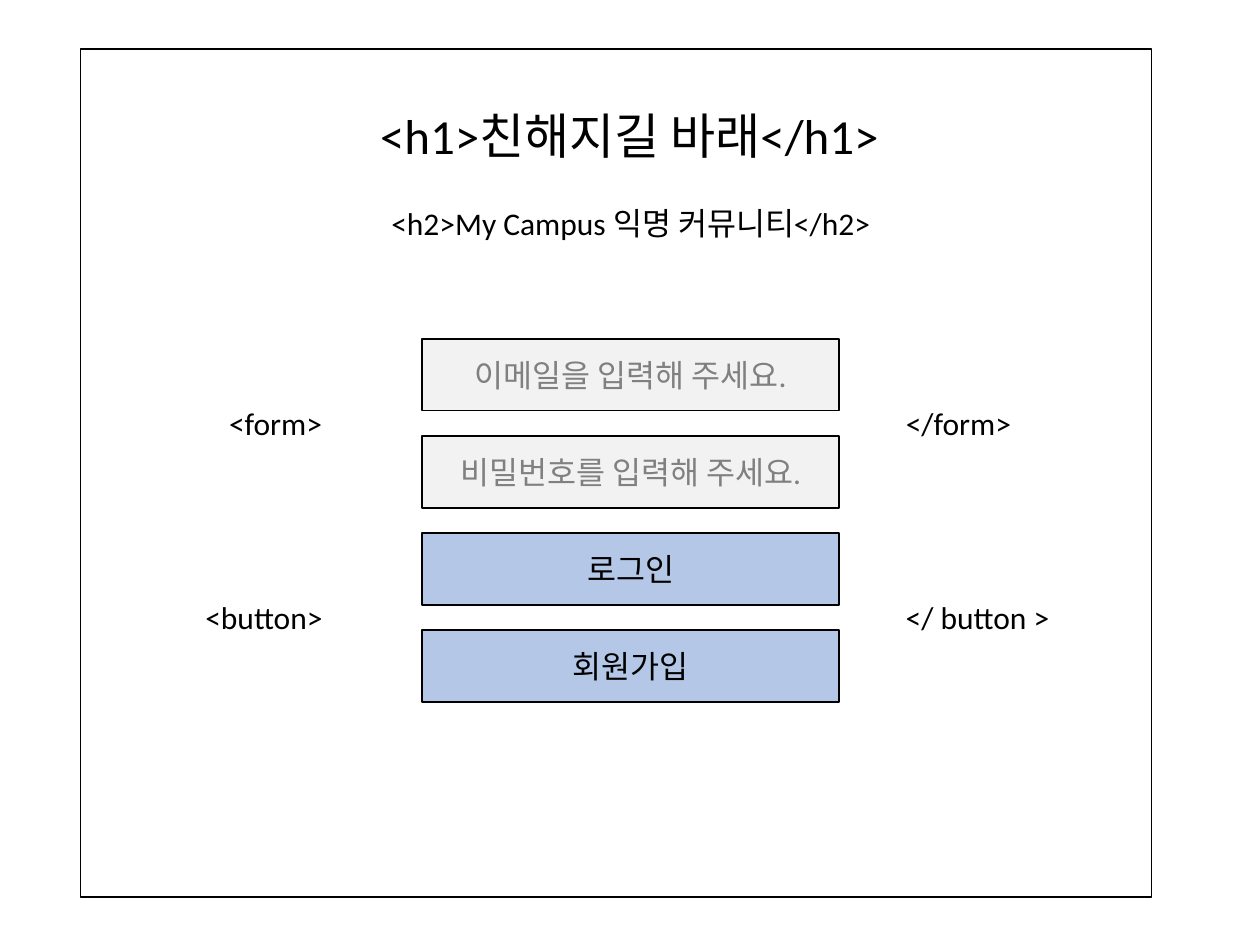
"""Builds a wireframe slide of a login page labelled with its HTML tags."""
from dataclasses import dataclass

from pptx import Presentation
from pptx.dml.color import RGBColor
from pptx.enum.shapes import MSO_SHAPE
from pptx.enum.text import MSO_ANCHOR, PP_ALIGN
from pptx.util import Pt

RECT = MSO_SHAPE.RECTANGLE
TOP, MIDDLE = MSO_ANCHOR.TOP, MSO_ANCHOR.MIDDLE
LEFT, CENTER = PP_ALIGN.LEFT, PP_ALIGN.CENTER


@dataclass(frozen=True)
class Theme:
    font: str = "Calibri"
    heading: int = 28
    body: int = 18
    white: str = "FFFFFF"
    black: str = "000000"
    hint: str = "808080"
    field: str = "F2F2F2"
    button: str = "B4C7E7"


@dataclass(frozen=True)
class Bar:
    text: str
    fill: str
    color: str


@dataclass(frozen=True)
class Tag:
    text: str
    left: float
    top: float
    width: float


THEME = Theme()
BAR_LEFT, BAR_TOP, BAR_WIDTH, BAR_HEIGHT, BAR_PITCH = 241.2, 193.7, 238.3, 41, 55.5
TAG_HEIGHT, FORM_TOP, BUTTON_TOP, CLOSE_LEFT = 29, 227.5, 338.4, 510.5

BARS = [
    Bar("이메일을 입력해 주세요.", THEME.field, THEME.hint),
    Bar("비밀번호를 입력해 주세요.", THEME.field, THEME.hint),
    Bar("로그인", THEME.button, THEME.black),
    Bar("회원가입", THEME.button, THEME.black),
]
TAGS = [
    Tag("<form>", 123.8, FORM_TOP, 73.4),
    Tag("</form>", CLOSE_LEFT, FORM_TOP, 87.8),
    Tag("<button>", 110.2, BUTTON_TOP, 87.8),
    Tag("</ button >", CLOSE_LEFT, BUTTON_TOP, 100),
]


def write(sp, text: str, size: int, color: str, align, anchor) -> None:
    tf = sp.text_frame
    tf.text = text
    tf.word_wrap = True
    tf.vertical_anchor = anchor
    p = tf.paragraphs[0]
    p.alignment = align
    p.space_before = Pt(0)
    font = p.runs[0].font
    font.name, font.size = THEME.font, Pt(size)
    font.color.rgb = RGBColor.from_string(color)


def place(sp, left: float, top: float, width: float, height: float) -> None:
    sp.left, sp.top, sp.width, sp.height = Pt(left), Pt(top), Pt(width), Pt(height)


def add_box(s, left: float, top: float, width: float, height: float, fill: str):
    sp = s.shapes.add_shape(RECT, Pt(left), Pt(top), Pt(width), Pt(height))
    sp.shadow.inherit = False
    sp.fill.solid()
    sp.fill.fore_color.rgb = RGBColor.from_string(fill)
    sp.line.color.rgb = RGBColor.from_string(THEME.black)
    sp.line.width = Pt(1)
    return sp


def add_bar(s, bar: Bar, row: int) -> None:
    sp = add_box(s, BAR_LEFT, BAR_TOP + row * BAR_PITCH, BAR_WIDTH, BAR_HEIGHT, bar.fill)
    write(sp, bar.text, THEME.body, bar.color, CENTER, MIDDLE)


def add_tag(s, tag: Tag) -> None:
    sp = s.shapes.add_textbox(Pt(tag.left), Pt(tag.top), Pt(tag.width), Pt(TAG_HEIGHT))
    write(sp, tag.text, THEME.body, THEME.black, LEFT, TOP)


def main() -> None:
    prs = Presentation()
    prs.slide_width, prs.slide_height = Pt(720), Pt(540)
    s = prs.slides.add_slide(prs.slide_layouts[0])
    title, subtitle = s.shapes.title, s.placeholders[1]

    frame = add_box(s, 46, 28, 612, 484.5, THEME.white)
    title.element.addprevious(frame.element)

    place(title, 198, 56.9, 323.3, 41)
    write(title, "<h1>친해지길 바래</h1>", THEME.heading, THEME.black, CENTER, TOP)
    place(subtitle, 215.3, 113, 290.2, TAG_HEIGHT)
    write(subtitle, "<h2>My Campus 익명 커뮤니티</h2>", THEME.body, THEME.black, CENTER, TOP)

    for row, bar in enumerate(BARS):
        add_bar(s, bar, row)
    for tag in TAGS:
        add_tag(s, tag)
    prs.save("out.pptx")


main()
